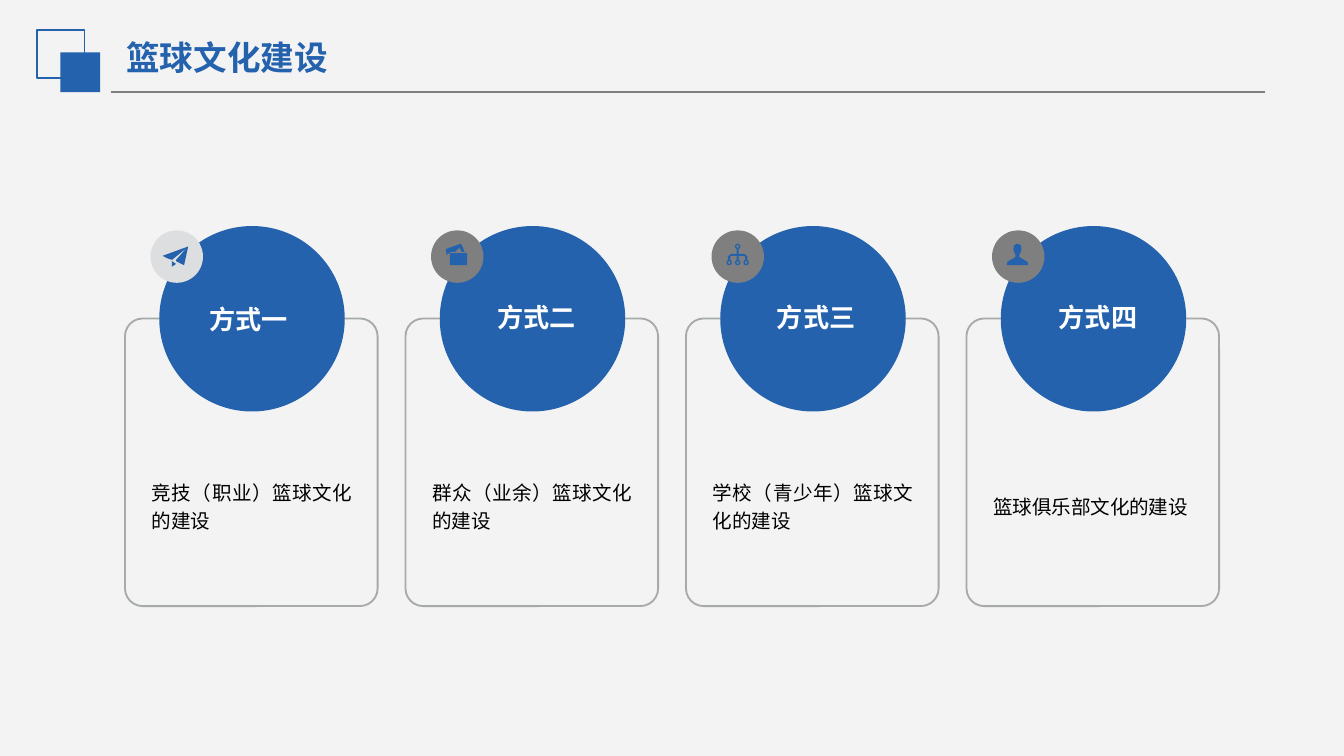
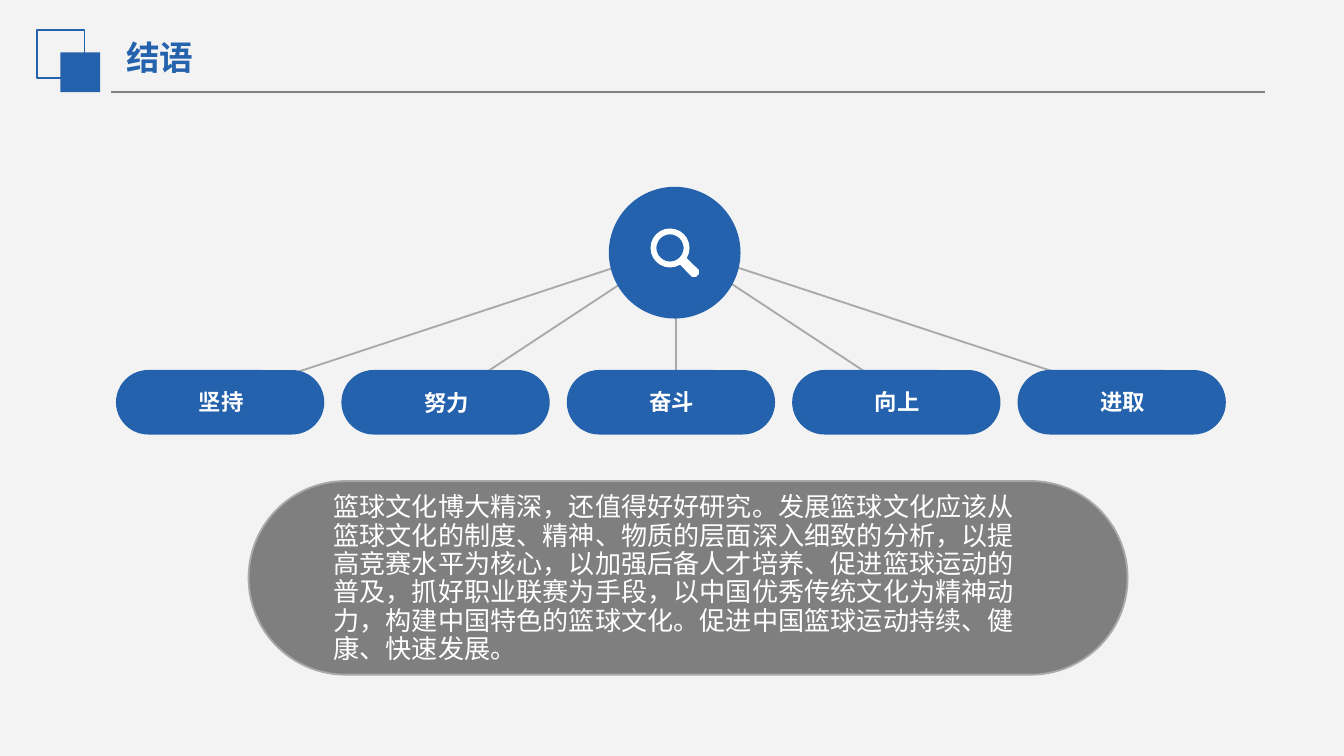
from math import cos, pi, sin

from lxml.etree import SubElement
from pptx import Presentation
from pptx.dml.color import RGBColor
from pptx.enum.shapes import MSO_CONNECTOR, MSO_SHAPE
from pptx.enum.text import MSO_ANCHOR, MSO_AUTO_SIZE, PP_ALIGN
from pptx.oxml.ns import qn
from pptx.util import Inches, Pt

BLUE = RGBColor(0x24, 0x62, 0xAD)
GRAY = RGBColor(0x7F, 0x7F, 0x7F)
RULE_GRAY = RGBColor(0x80, 0x80, 0x80)
EDGE_GRAY = RGBColor(0xA6, 0xAA, 0xA9)
PALE_GRAY = RGBColor(0xDC, 0xDE, 0xE0)
PAPER = RGBColor(0xF3, 0xF3, 0xF3)
WHITE = RGBColor(0xFF, 0xFF, 0xFF)
BLACK = RGBColor(0x00, 0x00, 0x00)
CJK_FONT = "Noto Sans CJK SC"

prs = Presentation()
prs.slide_width = Inches(10)
prs.slide_height = prs.slide_width * 9 // 16
CELL = prs.slide_width / 100  # square grid, 100 columns across the slide


def draw(slide, kind, box, fill=None, line=None, width=1, rounding=None):
    """Draw a preset shape, a connector (box = from and to) or a list of
    contours (box = origin); all lengths are grid cells."""
    places = [round(length * CELL) for length in box]
    if kind is MSO_CONNECTOR.STRAIGHT:
        item = slide.shapes.add_connector(kind, *places)
    elif isinstance(kind, list):
        contours = [[(round((box[0] + x) * CELL), round((box[1] + y) * CELL))
                     for x, y in contour] for contour in kind]
        builder = slide.shapes.build_freeform(*contours[0][0])
        builder.add_line_segments(contours[0][1:])
        for contour in contours[1:]:
            builder.move_to(*contour[0])
            builder.add_line_segments(contour[1:])
        item = builder.convert_to_shape()
    else:
        item = slide.shapes.add_shape(kind, *places)
        if rounding is not None:
            item.adjustments[0] = rounding
    if line is None:
        item.line.fill.background()
    else:
        item.line.color.rgb = line
        item.line.width = Pt(width)
    if kind is MSO_CONNECTOR.STRAIGHT:
        SubElement(item._element.spPr, qn("a:effectLst"))
        return
    item.shadow.inherit = False
    if fill is None:
        item.fill.background()
    else:
        item.fill.solid()
        item.fill.fore_color.rgb = fill


def write(slide, text, box, size, color, font=CJK_FONT, bold=False,
          align=PP_ALIGN.LEFT, spacing=0.9, before=10, margin=0, holder=None):
    """Write one paragraph into the holder, or into a new text box."""
    places = [round(length * CELL) for length in box]
    holder = holder or slide.shapes.add_textbox(*places)
    holder.left, holder.top, holder.width, holder.height = places
    frame = holder.text_frame
    frame.word_wrap = True
    frame.auto_size = MSO_AUTO_SIZE.NONE
    frame.vertical_anchor = MSO_ANCHOR.MIDDLE
    frame.margin_left = frame.margin_right = 0
    frame.margin_top = frame.margin_bottom = round(margin * CELL)
    frame.text = text
    paragraph = frame.paragraphs[0]
    paragraph.alignment = align
    paragraph.line_spacing = spacing
    paragraph.space_before = Pt(before)
    paragraph.font.name = font
    paragraph.font.size = Pt(size)
    paragraph.font.bold = bold
    paragraph.font.color.rgb = color
    SubElement(paragraph._p.pPr.find(qn("a:defRPr")), qn("a:ea"), typeface=CJK_FONT)


# Shared background, header and title
prs.slide_master.background.fill.solid()
prs.slide_master.background.fill.fore_color.rgb = PAPER
title_only = prs.slide_layouts[5]
slides = []
for title, title_width in (("篮球文化建设", 23.3), ("结语", 30.7)):
    slide = prs.slides.add_slide(title_only)
    draw(slide, MSO_CONNECTOR.STRAIGHT, (8.27, 6.84, 94.1, 6.84), line=RULE_GRAY, width=0.75)
    draw(slide, MSO_SHAPE.RECTANGLE, (2.75, 2.26, 3.54, 3.54), line=BLUE)
    draw(slide, MSO_SHAPE.RECTANGLE, (4.5, 3.9, 2.96, 2.96), fill=BLUE)
    write(slide, title, (9.4, 2.15, title_width, 4.2), 18, BLUE, bold=True,
          spacing=1.0, before=0, margin=0.5, holder=slide.shapes.title)
    slides.append(slide)
culture, closing = slides

# Four ways of building the culture; icon points are relative to their badge
paper_plane = [
    [(2.8, 1.2), (0.9, 1.9), (1.3, 2.1), (1.6, 2.2), (2.7, 1.3), (1.9, 2.2), (1.9, 2.3), (2.5, 2.6)],
    [(1.6, 2.3), (1.6, 2.7), (1.9, 2.5)],
]
photos = [
    [(2.5, 1.6), (2.3, 1.1), (2.2, 1), (1.1, 1.4), (1.2, 2), (1.2, 1.8), (1.5, 1.6),
     (1.8, 1.6), (2.1, 1.3), (2.3, 1.6)],
    [(1.4, 1.7), (2.7, 1.7), (2.7, 2.6), (1.4, 2.6)],
]
half_tree = [(0.08, 1.4), (0.08, 1.75), (0.5, 1.75), (0.72, 1.95), (0.72, 2.2),
             (0.55, 2.2), (0.55, 1.95), (0.45, 1.9), (0.08, 1.9), (0.08, 2.2)]
network = [[(1.95 + x, y) for x, y in half_tree]
           + [(1.95 - x, y) for x, y in reversed(half_tree)]]
for node_x, node_y in ((1.95, 1.2), (1.32, 2.4), (1.95, 2.4), (2.58, 2.4)):
    for radius in (0.2, 0.1):
        network.append([(node_x + radius * cos(k * pi / 6), node_y + radius * sin(k * pi / 6))
                        for k in range(12)])
half_person = [(0, 1), (0.25, 1.1), (0.3, 1.4), (0.25, 1.6), (0.15, 1.8), (0.15, 2),
               (0.5, 2.2), (0.75, 2.35), (0.8, 2.6)]
person = [[(1.9 + x, y) for x, y in half_person]
          + [(1.9 - x, y) for x, y in reversed(half_person)]]

WAY_PITCH = 20.87
ways = [
    ("方式一", "竞技（职业）篮球文化的建设", "Calibri", paper_plane, PALE_GRAY, 12, 1.0),
    ("方式二", "群众（业余）篮球文化的建设", "Open Sans", photos, GRAY, 12.55, 0.9),
    ("方式三", "学校（青少年）篮球文化的建设", "Open Sans", network, GRAY, 12.5, 0.9),
    ("方式四", "篮球俱乐部文化的建设", "Open Sans", person, GRAY, 12.6, 0.9),
]
for column, (way, detail, detail_font, icon, badge, way_left, spacing) in enumerate(ways):
    shift = column * WAY_PITCH
    draw(culture, MSO_SHAPE.ROUNDED_RECTANGLE, (9.3 + shift, 23.7, 18.8, 21.4),
         line=EDGE_GRAY, rounding=0.07)
    draw(culture, MSO_SHAPE.OVAL, (11.85 + shift, 16.82, 13.8, 13.8), fill=BLUE)
    draw(culture, MSO_SHAPE.OVAL, (11.2 + shift, 17.14, 3.9, 3.9), fill=badge)
    draw(culture, icon, (11.2 + shift, 17.14), fill=BLUE)
    write(culture, way, (way_left + shift, 21.4, 13, 4.7), 14, WHITE, bold=True,
          align=PP_ALIGN.CENTER, spacing=spacing)
    write(culture, detail, (11.3 + shift, 32.9, 14.9, 9.3), 10.5, BLACK, detail_font,
          align=PP_ALIGN.JUSTIFY, spacing=1.2)

# Five virtues fanning out from the magnifier
VIRTUE_PITCH, SPOKE_PITCH = 16.77, 17
virtues = [("坚持", 0.9), ("努力", 1.0), ("奋斗", 0.9), ("向上", 0.9), ("进取", 0.9)]
for column in range(len(virtues)):
    draw(closing, MSO_CONNECTOR.STRAIGHT,
         (50.3, 18.4, 16.3 + column * SPOKE_PITCH, 29.6), line=EDGE_GRAY)
for column, (virtue, spacing) in enumerate(virtues):
    left = 8.63 + column * VIRTUE_PITCH
    draw(closing, MSO_SHAPE.ROUNDED_RECTANGLE, (left, 27.53, 15.5, 4.8), fill=BLUE, rounding=0.5)
    write(closing, virtue, (left + 0.12, 28.27, 15.4, 3.4), 12, WHITE, bold=True,
          align=PP_ALIGN.CENTER, spacing=spacing)

draw(closing, MSO_SHAPE.OVAL, (45.3, 13.9, 9.8, 9.8), fill=BLUE)
draw(closing, MSO_SHAPE.DONUT, (48.4, 17, 2.9, 2.9), fill=WHITE, rounding=0.15)
handle = [[(2.7, 2.2), (3.6, 3.1), (3.6, 3.4), (3.4, 3.6), (3.1, 3.6), (2.2, 2.7)]]
draw(closing, handle, (48.4, 17), fill=WHITE)

draw(closing, MSO_SHAPE.ROUNDED_RECTANGLE, (18.5, 35.8, 65.4, 14.4),
     fill=GRAY, line=EDGE_GRAY, rounding=0.5)
write(closing,
      "篮球文化博大精深，还值得好好研究。发展篮球文化应该从篮球文化的制度、精神、"
      "物质的层面深入细致的分析，以提高竞赛水平为核心，以加强后备人才培养、"
      "促进篮球运动的普及，抓好职业联赛为手段，以中国优秀传统文化为精神动力，"
      "构建中国特色的篮球文化。促进中国篮球运动持续、健康、快速发展。",
      (24.8, 36.8, 52.5, 12.6), 14, WHITE, "Open Sans")

prs.save("out.pptx")
